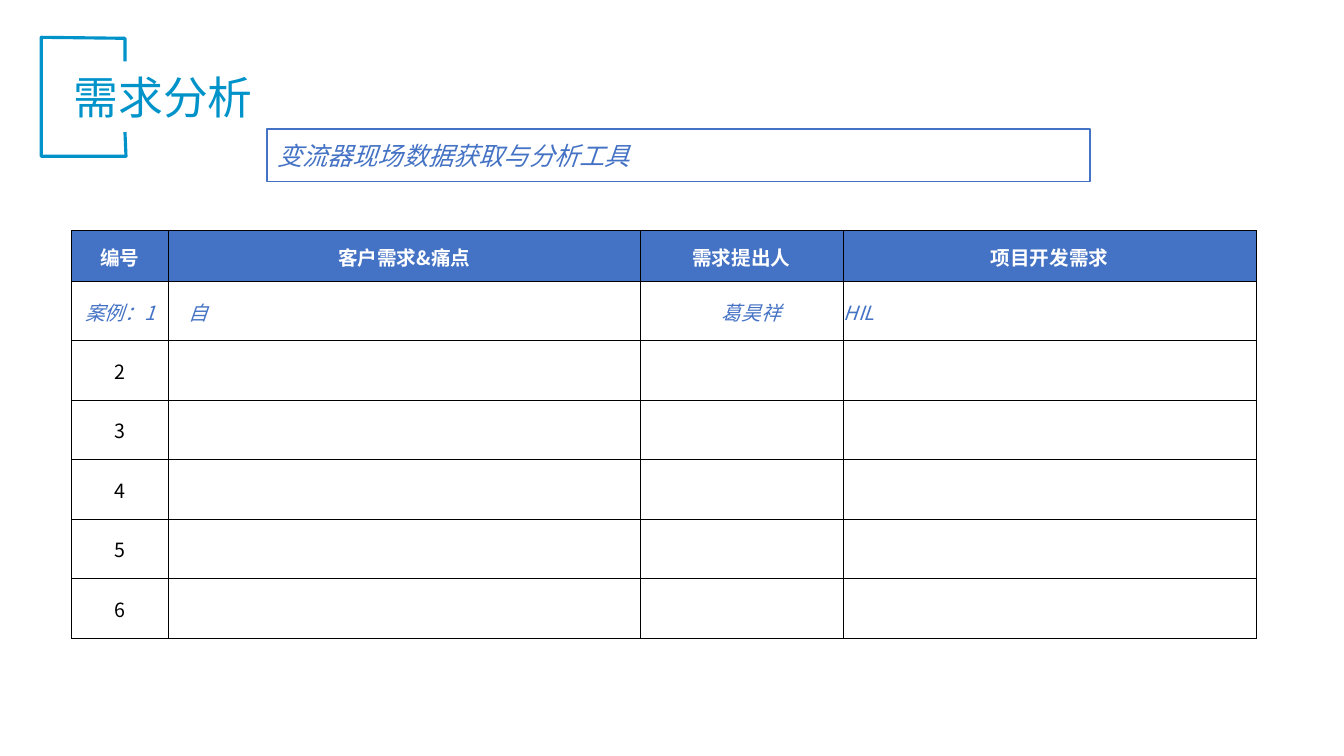
import pptx
import pptx.dml.color
import pptx.enum.shapes
import pptx.enum.text
import pptx.oxml.ns
import pptx.util
from lxml import etree

Inches, Pt = pptx.util.Inches, pptx.util.Pt
RGB = pptx.dml.color.RGBColor
ALIGN = pptx.enum.text.PP_ALIGN
MIDDLE = pptx.enum.text.MSO_ANCHOR.MIDDLE
qn = pptx.oxml.ns.qn

CYAN = RGB(0x00, 0x93, 0xCA)
BLUE = RGB(0x44, 0x72, 0xC4)
WHITE = RGB(0xFF, 0xFF, 0xFF)
BLACK = RGB(0x00, 0x00, 0x00)
FONT = "Noto Sans CJK SC"

TITLE = "需求分析"
TOPIC = "变流器现场数据获取与分析工具"
HEADS = ["编号", "客户需求&痛点", "需求提出人", "项目开发需求"]
SAMPLE = ["案例：1", "　自", "　葛昊祥", "HIL"]
ROWS = [HEADS, SAMPLE] + [[str(n), "", "", ""] for n in range(2, 7)]
WIDTHS = [0.96, 4.68, 2.01, 4.1]
HEAD_H, ROW_H = 0.5, 0.59
FRAME = [(1.24, 1.31), (1.25, 1.55), (0.41, 1.55),
         (0.41, 0.37), (1.24, 0.38), (1.24, 0.61)]


def write(frame, text, size, color, align=ALIGN.LEFT, bold=False, italic=False):
    para = frame.paragraphs[0]
    para.alignment = align
    run = para.add_run()
    run.text = text
    font = run.font
    font.size, font.name = Pt(size), FONT
    font.bold, font.italic = bold, italic
    font.color.rgb = color
    etree.SubElement(font._element, qn("a:ea"), typeface=FONT)


def edge(cell, top):
    """Rule the four sides of a cell in black; top is the upper line's width."""
    props = cell._tc.get_or_add_tcPr()
    for side, width in (("L", 0.5), ("R", 0.5), ("T", top), ("B", 0.5)):
        line = etree.SubElement(props, qn("a:ln" + side), w=str(Pt(width)))
        fill = etree.SubElement(line, qn("a:solidFill"))
        etree.SubElement(fill, qn("a:srgbClr"), val=str(BLACK))


def outline(shape, color, width):
    shape.shadow.inherit = False
    shape.fill.background()
    shape.line.color.rgb = color
    shape.line.width = Pt(width)


def add_frame(slide):
    points = [(Inches(x), Inches(y)) for x, y in FRAME]
    pen = slide.shapes.build_freeform(*points[0])
    pen.add_line_segments(points[1:], close=False)
    outline(pen.convert_to_shape(), CYAN, 2.25)


def add_title(slide):
    box = slide.shapes.add_textbox(Inches(0.63), Inches(0.64),
                                   Inches(9.75), Inches(0.64))
    box.text_frame.word_wrap = True
    box.text_frame.auto_size = pptx.enum.text.MSO_AUTO_SIZE.SHAPE_TO_FIT_TEXT
    write(box.text_frame, TITLE, 32, CYAN)


def add_needs(slide):
    high = HEAD_H + ROW_H * (len(ROWS) - 1)
    table = slide.shapes.add_table(
        len(ROWS), len(WIDTHS), Inches(0.71), Inches(2.29),
        Inches(sum(WIDTHS)), Inches(high)).table
    table.first_row = table.horz_banding = False
    for col, width in zip(table.columns, WIDTHS):
        col.width = Inches(width)
    for r, texts in enumerate(ROWS):
        head, sample = r == 0, r == 1
        table.rows[r].height = Inches(HEAD_H if head else ROW_H)
        color = WHITE if head else BLUE if sample else BLACK
        for c, text in enumerate(texts):
            cell = table.cell(r, c)
            edge(cell, 1 if head else 0.5)
            if head:
                cell.fill.solid()
                cell.fill.fore_color.rgb = BLUE
            else:
                cell.fill.background()
            cell.vertical_anchor = MIDDLE
            cell.margin_left = cell.margin_right = cell.margin_top = Inches(0.01)
            cell.margin_bottom = 0
            if text:
                left = sample and c in (1, 3)
                write(cell.text_frame, text, 14, color,
                      ALIGN.LEFT if left else ALIGN.CENTER, head, sample)


def add_topic(slide):
    box = slide.shapes.add_shape(
        pptx.enum.shapes.MSO_SHAPE.RECTANGLE,
        Inches(2.65), Inches(1.28), Inches(8.16), Inches(0.52))
    outline(box, BLUE, 1)
    box.text_frame.word_wrap = True
    box.text_frame.vertical_anchor = MIDDLE
    write(box.text_frame, TOPIC, 18, BLUE, italic=True)


def main():
    deck = pptx.Presentation()
    deck.slide_width, deck.slide_height = Inches(13.33), Inches(7.5)
    slide = deck.slides.add_slide(deck.slide_layouts[6])
    add_frame(slide)
    add_title(slide)
    add_needs(slide)
    add_topic(slide)
    deck.save("out.pptx")


if __name__ == "__main__":
    main()
